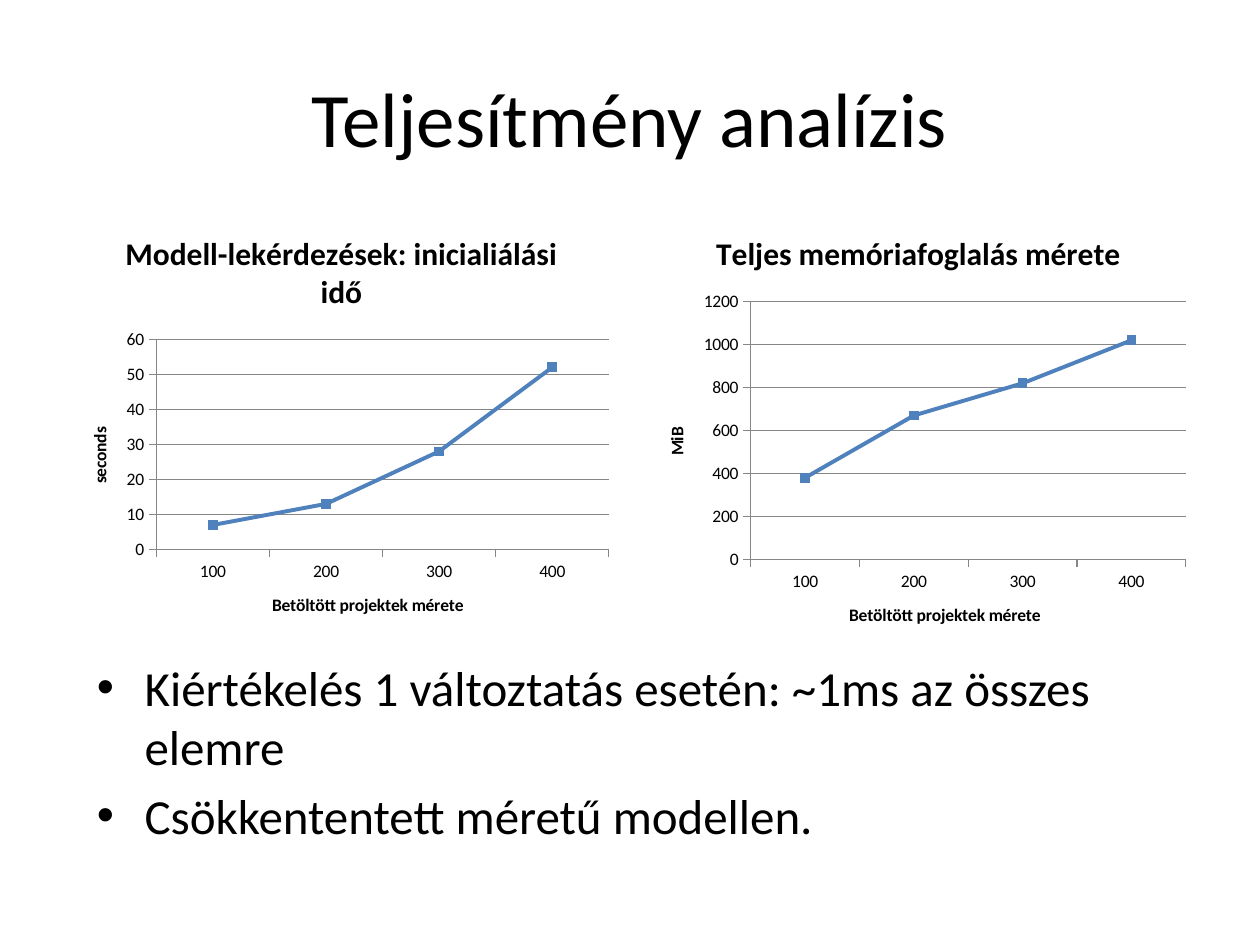
from lxml.etree import SubElement
from pptx import Presentation
from pptx.chart.data import CategoryChartData
from pptx.dml.color import RGBColor
from pptx.enum.chart import XL_CHART_TYPE, XL_MARKER_STYLE, XL_TICK_MARK
from pptx.enum.text import MSO_ANCHOR, PP_ALIGN
from pptx.oxml.ns import qn
from pptx.util import Inches, Pt

BLACK = RGBColor(0, 0, 0)
BLUE = RGBColor(0x4F, 0x81, 0xBD)
GRAY = RGBColor(0x86, 0x86, 0x86)
FONT = "Calibri"


def add_text(para, text, size, bold=False):
    span = para.add_run()
    span.text = text
    span.font.size = Pt(size)
    span.font.bold = bold
    span.font.name = FONT
    span.font.color.rgb = BLACK


deck = Presentation()
deck.slide_width = Inches(10)
deck.slide_height = Inches(7.5)
page = deck.slides.add_slide(deck.slide_layouts[5])

title = page.shapes.title
title.left, title.top = Inches(0.5), Inches(0.3)
title.width, title.height = Inches(9), Inches(1.25)
title.text_frame.vertical_anchor = MSO_ANCHOR.MIDDLE
title_para = title.text_frame.paragraphs[0]
title_para.alignment = PP_ALIGN.CENTER
add_text(title_para, "Teljesítmény analízis", 44)

charts = [
    (0.5, 3.42, "Modell-lekérdezések: inicialiálási idő", "seconds", (7, 13, 28, 52), 60, 10),
    (5.08, 3.5, "Teljes memóriafoglalás mérete", "MiB", (380, 670, 820, 1020), 1200, 200),
]
for left, height, heading, unit, values, maximum, step in charts:
    data = CategoryChartData()
    data.categories = ["100", "200", "300", "400"]
    data.add_series("Series 1", values)
    frame = page.shapes.add_chart(
        XL_CHART_TYPE.LINE_MARKERS, Inches(left), Inches(1.67), Inches(4.42), Inches(height), data
    )
    chart = frame.chart
    chart.has_legend = False
    chart.font.size = Pt(10)
    chart.font.name = FONT
    chart.font.color.rgb = BLACK
    chart.has_title = True
    add_text(chart.chart_title.text_frame.paragraphs[0], heading, 18, True)
    chart.chart_title.include_in_layout = False

    for axis, caption in (
        (chart.category_axis, "Betöltött projektek mérete"),
        (chart.value_axis, unit),
    ):
        axis.has_title = True
        add_text(axis.axis_title.text_frame.paragraphs[0], caption, 10, True)
        axis.major_tick_mark = XL_TICK_MARK.OUTSIDE
        axis.minor_tick_mark = XL_TICK_MARK.NONE
        axis.format.line.color.rgb = GRAY
        axis.format.line.width = Pt(0.75)
    value_axis = chart.value_axis
    value_axis.minimum_scale = 0
    value_axis.maximum_scale = maximum
    value_axis.major_unit = step
    value_axis.has_major_gridlines = True
    value_axis.major_gridlines.format.line.color.rgb = GRAY
    value_axis.major_gridlines.format.line.width = Pt(0.75)

    chart.plots[0].vary_by_categories = False
    series = chart.plots[0].series[0]
    series.smooth = False
    series.format.line.color.rgb = BLUE
    series.format.line.width = Pt(2.25)
    series.marker.style = XL_MARKER_STYLE.SQUARE
    series.marker.size = 5
    series.marker.format.fill.solid()
    series.marker.format.fill.fore_color.rgb = BLUE
    series.marker.format.line.color.rgb = BLUE

box = page.shapes.add_textbox(Inches(0.67), Inches(5.17), Inches(8.83), Inches(1.7))
notes_frame = box.text_frame
notes_frame.word_wrap = True
findings = [
    "Kiértékelés 1 változtatás esetén: ~1ms az összes elemre",
    "Csökkententett méretű modellen.",
]
for index, finding in enumerate(findings):
    para = notes_frame.paragraphs[0] if index == 0 else notes_frame.add_paragraph()
    para.space_before = Pt(5.6)
    add_text(para, finding, 28)
    properties = para._p.get_or_add_pPr()
    properties.set("marL", str(Inches(0.38)))
    properties.set("indent", str(Inches(-0.38)))
    SubElement(properties, qn("a:buFont"), typeface="Arial")
    SubElement(properties, qn("a:buChar"), char="•")

deck.save("out.pptx")
